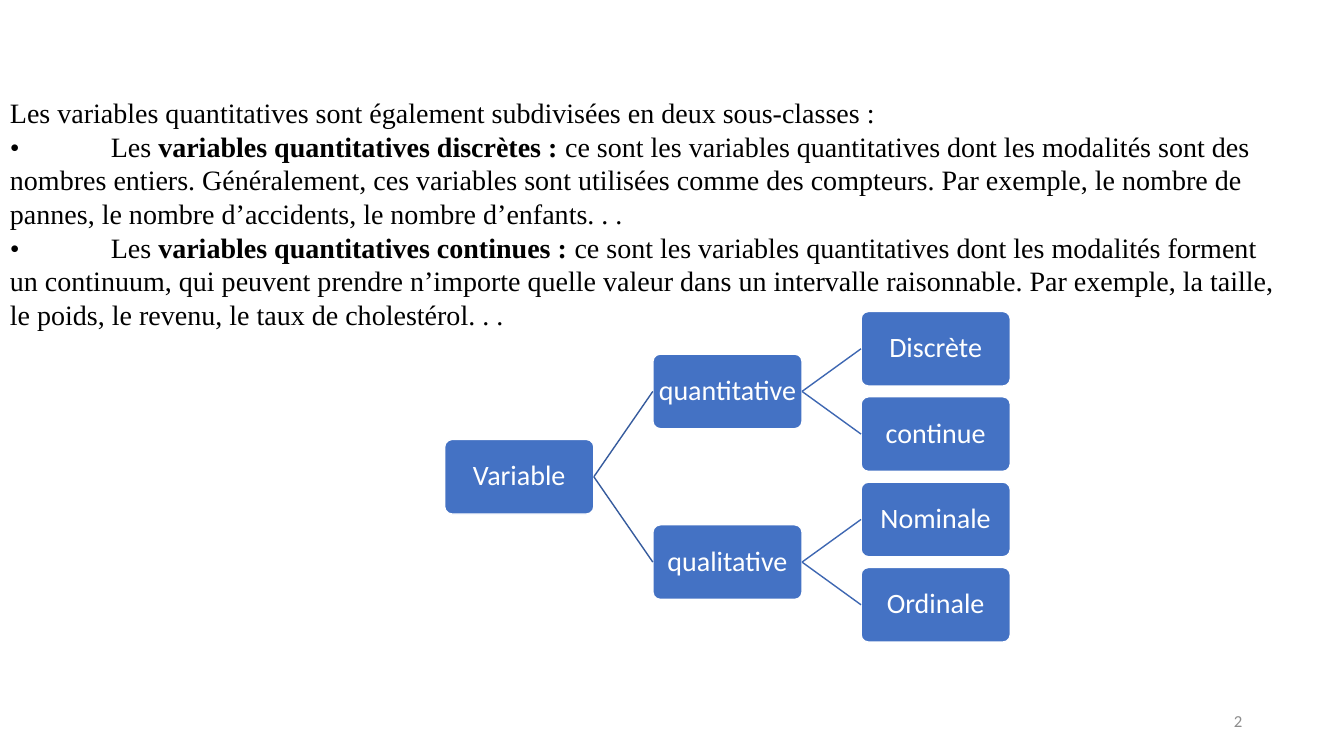
import pptx
import pptx.dml.color
import pptx.enum.shapes
import pptx.enum.text
import pptx.oxml.ns
import pptx.util
from lxml import etree

Inches = pptx.util.Inches
Pt = pptx.util.Pt
ALIGN = pptx.enum.text.PP_ALIGN
ANCHOR = pptx.enum.text.MSO_ANCHOR
qn = pptx.oxml.ns.qn


class Deck:
    hues = {"ink": "000000", "box": "4472C4", "white": "FFFFFF",
            "trunk": "365B9D", "twig": "3E67B2", "grey": "8C8C8C"}
    sans = "Calibri"
    serif = "Times New Roman"

    def __init__(self, show):
        self.slide = show.slides.add_slide(show.slide_layouts[6])

    def hue(self, name):
        return pptx.dml.color.RGBColor.from_string(self.hues[name])

    def run(self, para, text, face, size, hue, bold=False):
        run = para.add_run()
        run.text = text
        run.font.name = face
        run.font.size = Pt(size)
        run.font.bold = bold
        run.font.color.rgb = self.hue(hue)

    def text(self, left, top, width, height, anchor):
        shape = self.slide.shapes.add_textbox(
            Inches(left), Inches(top), Inches(width), Inches(height))
        frame = shape.text_frame
        frame.word_wrap = True
        frame.vertical_anchor = anchor
        return frame

    def prose(self, frame, paras):
        for index, parts in enumerate(paras):
            para = frame.add_paragraph() if index else frame.paragraphs[0]
            para.line_spacing = Pt(24)
            tabs = etree.SubElement(para._p.get_or_add_pPr(), qn("a:tabLst"))
            etree.SubElement(tabs, qn("a:tab"), pos=str(Inches(1)), algn="l")
            for part, bold in parts:
                self.run(para, part, self.serif, 20, "ink", bold)

    def node(self, label, col, row):
        shape = self.slide.shapes.add_shape(
            pptx.enum.shapes.MSO_SHAPE.ROUNDED_RECTANGLE,
            Inches(4.41 + 4.13 * col / 2), Inches(3.09 + 2.54 * row / 3),
            Inches(1.48), Inches(0.74))
        shape.adjustments[0] = 0.1
        shape.shadow.inherit = False
        shape.fill.solid()
        shape.fill.fore_color.rgb = self.hue("box")
        shape.line.color.rgb = self.hue("white")
        shape.line.width = Pt(1)
        frame = shape.text_frame
        frame.word_wrap = True
        frame.vertical_anchor = ANCHOR.MIDDLE
        frame.margin_left = frame.margin_right = Inches(0.03)
        frame.margin_top = frame.margin_bottom = Inches(0.03)
        para = frame.paragraphs[0]
        para.alignment = ALIGN.CENTER
        para.line_spacing = 0.9
        self.run(para, label, self.sans, 20, "white")
        return shape

    def link(self, start, end, hue):
        line = self.slide.shapes.add_connector(
            pptx.enum.shapes.MSO_CONNECTOR.STRAIGHT, 0, 0, 0, 0)
        line.begin_connect(start, 3)
        line.end_connect(end, 1)
        line.line.color.rgb = self.hue(hue)
        line.line.width = Pt(1)
        etree.SubElement(line._element.spPr, qn("a:effectLst"))


PROSE = [
    [("Les variables quantitatives sont également subdivisées en deux sous-classes :", False)],
    [("•\tLes ", False), ("variables quantitatives discrètes :", True),
     (" ce sont les variables quantitatives dont les modalités sont des nombres entiers. "
      "Généralement, ces variables sont utilisées comme des compteurs. Par exemple, "
      "le nombre de pannes, le nombre d’accidents, le nombre d’enfants. . .", False)],
    [("•\tLes ", False), ("variables quantitatives continues :", True),
     (" ce sont les variables quantitatives dont les modalités forment un continuum, "
      "qui peuvent prendre n’importe quelle valeur dans un intervalle raisonnable. "
      "Par exemple, la taille, le poids, le revenu, le taux de cholestérol. . .", False)],
]
TREE = [("quantitative", ["Discrète", "continue"]),
        ("qualitative", ["Nominale", "Ordinale"])]


def main():
    show = pptx.Presentation()
    show.slide_width = Inches(13.33)
    show.slide_height = Inches(7.5)
    deck = Deck(show)

    page = deck.text(9.42, 6.95, 3, 0.4, ANCHOR.MIDDLE).paragraphs[0]
    page.alignment = ALIGN.RIGHT
    deck.run(page, "2", deck.sans, 12, "grey")
    deck.prose(deck.text(0, 0.9, 12.82, 3.3, ANCHOR.TOP), PROSE)

    root = deck.node("Variable", 0, 1.5)
    for index, (label, leaves) in enumerate(TREE):
        branch = deck.node(label, 1, 2 * index + 0.5)
        deck.link(root, branch, "trunk")
        for place, leaf in enumerate(leaves):
            deck.link(branch, deck.node(leaf, 2, 2 * index + place), "twig")

    show.save("out.pptx")


if __name__ == "__main__":
    main()
